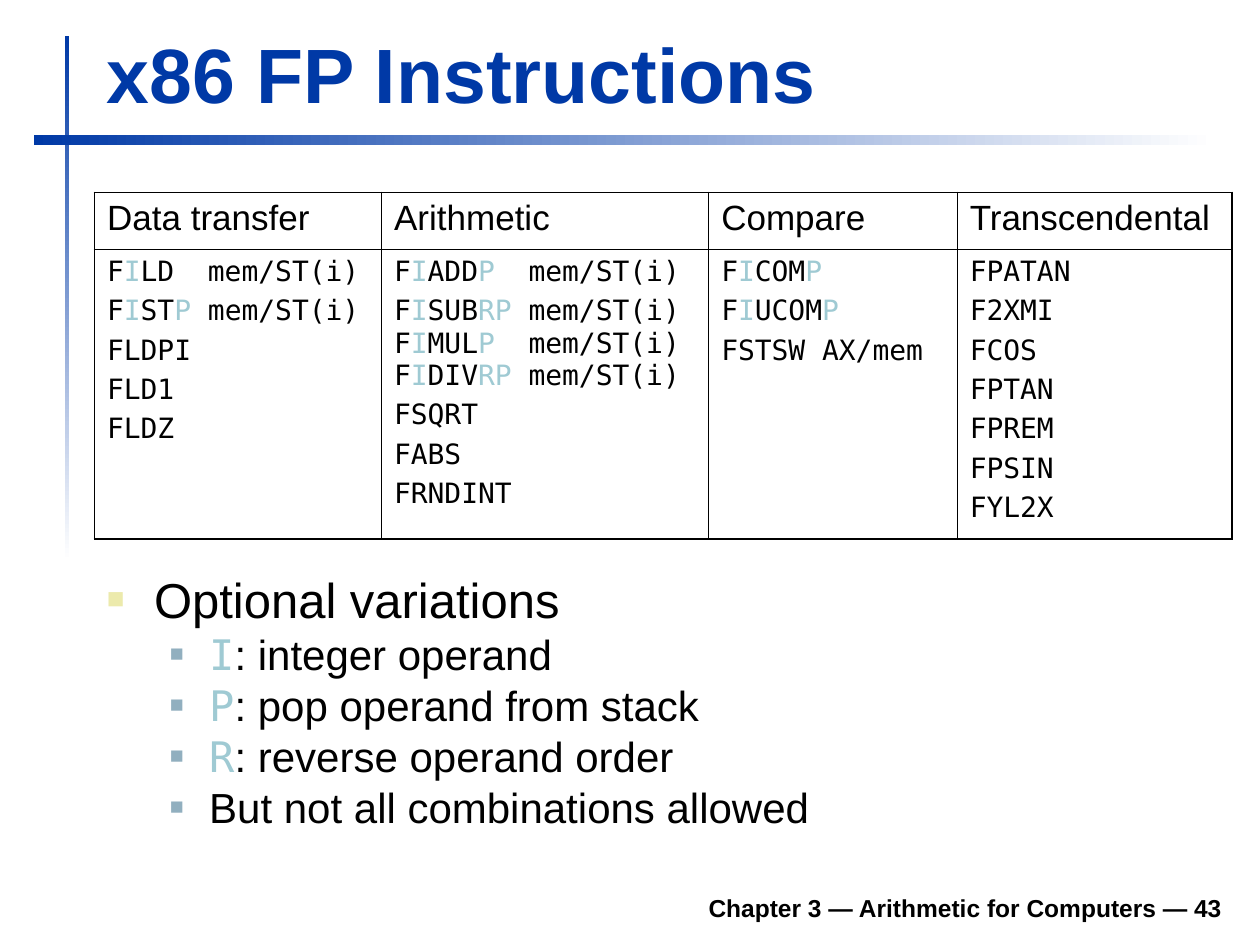
import lxml.etree
import pptx
import pptx.dml.color
import pptx.enum.shapes
import pptx.enum.text
import pptx.oxml.ns
import pptx.util

Pt = pptx.util.Pt
qn = pptx.oxml.ns.qn
RGB = pptx.dml.color.RGBColor.from_string
SANS, MONO = "Arial", "DejaVu Sans Mono"
COLORS = {
    "blue": "0039A6",
    "white": "FFFFFF",
    "black": "000000",
    "optional": "9FCAD3",
    "bullet": "ECEAAC",
    "sub_bullet": "91AFBF",
}


def add_runs(paragraph, marked, size, font=SANS, color="black", bold=False):
    """Add text run by run; parts in [brackets] become light monospaced letters."""
    for index, part in enumerate(marked.replace("]", "[").split("[")):
        if not part:
            continue
        optional = index % 2 == 1
        run = paragraph.add_run()
        run.text = part
        run.font.name = MONO if optional else font
        run.font.size = Pt(size)
        run.font.bold = bold
        run.font.color.rgb = RGB(COLORS["optional" if optional else color])


def add_text_frame(left, top, width, height, anchor):
    frame = slide.shapes.add_textbox(Pt(left), Pt(top), Pt(width), Pt(height)).text_frame
    frame.word_wrap = True
    frame.vertical_anchor = anchor
    return frame


presentation = pptx.Presentation()
presentation.slide_width, presentation.slide_height = Pt(720), Pt(540)
slide = presentation.slides.add_slide(presentation.slide_layouts[6])
ANCHOR = pptx.enum.text.MSO_ANCHOR

# Fading rules beside and below the title
for left, top, width, height, angle in [(37, 20.5, 2.5, 300, 270), (19.5, 77, 675, 6, 0)]:
    rule = slide.shapes.add_shape(
        pptx.enum.shapes.MSO_SHAPE.RECTANGLE, Pt(left), Pt(top), Pt(width), Pt(height))
    rule.shadow.inherit = False
    rule.line.fill.background()
    rule.fill.gradient()
    rule.fill.gradient_angle = angle
    for stop, color in zip(rule.fill.gradient_stops, ("blue", "white")):
        stop.color.rgb = RGB(COLORS[color])

footer = add_text_frame(133, 502.5, 572.5, 28, ANCHOR.BOTTOM).paragraphs[0]
footer.alignment = pptx.enum.text.PP_ALIGN.RIGHT
add_runs(footer, "Chapter 3 — Arithmetic for Computers — 43", 14, bold=True)

title = add_text_frame(54, 11.5, 650, 60, ANCHOR.BOTTOM).paragraphs[0]
add_runs(title, "x86 FP Instructions", 44, color="blue", bold=True)

# Optional variations
variations = [
    (0, "Optional variations"),
    (1, "[I]: integer operand"),
    (1, "[P]: pop operand from stack"),
    (1, "[R]: reverse operand order"),
    (1, "But not all combinations allowed"),
]
# Per level: text size, left margin, hanging indent, bullet colour, bullet percent
levels = [(28, 27, 27, "bullet", 60), (24, 58.5, 22.5, "sub_bullet", 55)]
variation_frame = add_text_frame(54, 328.5, 651, 163, ANCHOR.TOP)
for index, (level, text) in enumerate(variations):
    size, margin, hanging, bullet_color, percent = levels[level]
    paragraph = variation_frame.add_paragraph() if index else variation_frame.paragraphs[0]
    paragraph.level = level
    properties = paragraph._p.get_or_add_pPr()
    properties.set("marL", str(Pt(margin)))
    properties.set("indent", str(-Pt(hanging)))
    bullet_fill = lxml.etree.SubElement(properties, qn("a:buClr"))
    lxml.etree.SubElement(bullet_fill, qn("a:srgbClr"), val=COLORS[bullet_color])
    lxml.etree.SubElement(properties, qn("a:buSzPct"), val=str(percent * 1000))
    lxml.etree.SubElement(properties, qn("a:buFont"), typeface=SANS)
    lxml.etree.SubElement(properties, qn("a:buChar"), char="■")
    paragraph.line_spacing = 0.8
    if index:
        paragraph.space_before = Pt(6)
    add_runs(paragraph, text, size)

# Instruction table: heading, column width, instructions
groups = [
    ("Data transfer", 164, [
        "F[I]LD  mem/ST(i)", "F[I]ST[P] mem/ST(i)", "FLDPI", "FLD1", "FLDZ"]),
    ("Arithmetic", 187, [
        "F[I]ADD[P]  mem/ST(i)",
        "F[I]SUB[RP] mem/ST(i) F[I]MUL[P]  mem/ST(i) F[I]DIV[RP] mem/ST(i)",
        "FSQRT", "FABS", "FRNDINT"]),
    ("Compare", 142, ["F[I]COM[P]", "F[I]UCOM[P]", "FSTSW AX/mem"]),
    ("Transcendental", 157, [
        "FPATAN", "F2XMI", "FCOS", "FPTAN", "FPREM", "FPSIN", "FYL2X"]),
]
row_heights = [32.5, 165.5]
OUTER, COLUMN_RULE, ROW_RULE = 1.08, 0.45, 0.75
instructions = slide.shapes.add_table(
    len(row_heights), len(groups), Pt(54), Pt(110),
    Pt(sum(width for _, width, _ in groups)), Pt(sum(row_heights))).table
instructions.first_row = instructions.horz_banding = False
for row, height in zip(instructions.rows, row_heights):
    row.height = Pt(height)

for column, (heading, width, mnemonics) in enumerate(groups):
    instructions.columns[column].width = Pt(width)
    for row, (lines, size, font) in enumerate([([heading], 20, SANS), (mnemonics, 16, MONO)]):
        cell = instructions.cell(row, column)
        cell.fill.background()
        for index, line in enumerate(lines):
            paragraph = cell.text_frame.add_paragraph() if index else cell.text_frame.paragraphs[0]
            if index:
                paragraph.space_before = Pt(4)
            add_runs(paragraph, line, size, font)
        borders = [
            ("a:lnL", OUTER if column == 0 else COLUMN_RULE),
            ("a:lnR", OUTER if column == len(groups) - 1 else COLUMN_RULE),
            ("a:lnT", OUTER if row == 0 else ROW_RULE),
            ("a:lnB", OUTER if row == len(row_heights) - 1 else ROW_RULE),
        ]
        cell_properties = cell._tc.get_or_add_tcPr()
        for position, (side, weight) in enumerate(borders):
            border = lxml.etree.Element(qn(side), w=str(Pt(weight)))
            border_fill = lxml.etree.SubElement(border, qn("a:solidFill"))
            lxml.etree.SubElement(border_fill, qn("a:srgbClr"), val=COLORS["black"])
            cell_properties.insert(position, border)

presentation.save("out.pptx")
